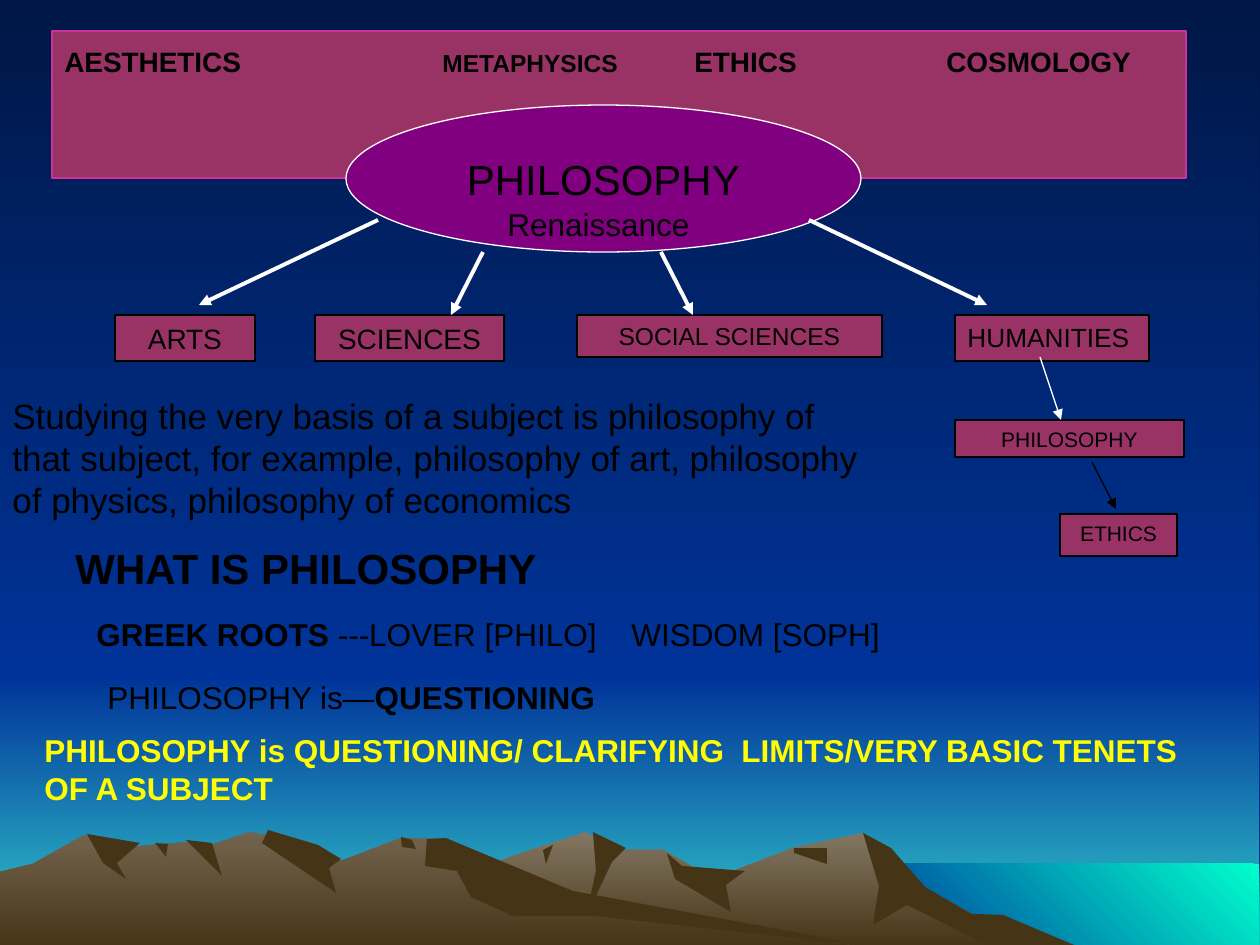
from dataclasses import dataclass

from lxml.etree import SubElement
from pptx import Presentation
from pptx.dml.color import RGBColor as Rgb
from pptx.dml.fill import FillFormat as Fill
from pptx.enum.shapes import MSO_CONNECTOR as Link, MSO_SHAPE as Kind
from pptx.enum.text import MSO_ANCHOR as Anchor, PP_ALIGN as Align
from pptx.oxml.ns import qn
from pptx.util import Pt

INCH = 126
SCALE = 914400 / INCH
WIDE, HIGH = 10 * INCH, 945
BASE, SHORE = 948, 675
THIN, THICK = 0.75, 2.25
COLORS = {
    "black": "000000", "white": "FFFFFF", "yellow": "FFFF00",
    "plum": "993366", "pink": "CC3399", "purple": "800080",
    "night": "001746", "blue": "003399", "teal": "33CCCC", "mint": "00FFCC",
    "stone": "837763", "rock": "72644E", "earth": "463416",
}


@dataclass
class Run:
    """A piece of text with its look."""
    text: str
    size: int
    bold: bool = False


@dataclass
class Box:
    """A place for text, with an optional fill and line."""
    at: tuple[int, int, int, int]
    runs: list[Run]
    fill: str = ""
    line: str = "black"
    kind: Kind = Kind.RECTANGLE
    align: Align = Align.CENTER
    anchor: Anchor = Anchor.TOP
    color: str = "black"
    tabs: tuple[int, ...] = ()


@dataclass
class Arrow:
    """A line with a head at its end."""
    start: tuple[int, int]
    end: tuple[int, int]
    color: str = "white"
    width: float = THICK


@dataclass
class Ridge:
    """An outline of the landscape; two colours make a gradient."""
    points: list[tuple[int, int]]
    colors: tuple[str, ...] = ("earth",)
    angle: int = 270


def emu(px: float) -> int:
    """Turn pixels into EMU."""
    return round(px * SCALE)


def rgb(name: str) -> Rgb:
    """Look up a colour."""
    return Rgb.from_string(COLORS[name])


def paint(fill: Fill, colors: tuple[str, ...], angle: int = 270) -> None:
    """Fill with one colour or a two-colour gradient."""
    if len(colors) == 1:
        fill.solid()
        fill.fore_color.rgb = rgb(colors[0])
        return
    fill.gradient()
    fill.gradient_angle = angle
    for pos, (stop, name) in enumerate(zip(fill.gradient_stops, colors)):
        stop.color.rgb = rgb(name)
        stop.position = pos


def draw_ridge(ridge: Ridge) -> None:
    """Draw a landscape outline."""
    form = slide.shapes.build_freeform(*ridge.points[0], scale=SCALE)
    form.add_line_segments(ridge.points[1:], close=True)
    shape = form.convert_to_shape()
    shape.shadow.inherit = False
    shape.line.fill.background()
    paint(shape.fill, ridge.colors, ridge.angle)


def draw_box(box: Box) -> None:
    """Draw a filled shape or a plain text box."""
    place = [emu(v) for v in box.at]
    if box.fill:
        shape = slide.shapes.add_shape(box.kind, *place)
        shape.shadow.inherit = False
        paint(shape.fill, (box.fill,))
        shape.line.color.rgb = rgb(box.line)
        shape.line.width = Pt(THIN)
    else:
        shape = slide.shapes.add_textbox(*place)
    frame = shape.text_frame
    frame.word_wrap = True
    frame.vertical_anchor = box.anchor
    para = frame.paragraphs[0]
    para.alignment = box.align
    for item in box.runs:
        run = para.add_run()
        run.text = item.text
        font = run.font
        font.name, font.size, font.bold = "Arial", Pt(item.size), item.bold
        font.color.rgb = rgb(box.color)
    if box.tabs:
        stops = SubElement(para._p.get_or_add_pPr(), qn("a:tabLst"))
        for tab in box.tabs:
            SubElement(stops, qn("a:tab"), pos=str(emu(tab)), algn="l")


def draw_arrow(arrow: Arrow) -> None:
    """Draw a straight arrow."""
    ends = [emu(v) for v in arrow.start + arrow.end]
    link = slide.shapes.add_connector(Link.STRAIGHT, *ends)
    link.line.color.rgb = rgb(arrow.color)
    link.line.width = Pt(arrow.width)
    SubElement(link.line._get_or_add_ln(), qn("a:tailEnd"), type="triangle")
    SubElement(link._element.spPr, qn("a:effectLst"))


def block(left: int, top: int, base: int) -> list[tuple[int, int]]:
    """Give the corners of a band that ends at the right edge."""
    right = WIDE - 1
    return [(left, top), (right, top), (right, base), (left, base)]


RIDGES = [
    Ridge(block(-1, SHORE, BASE), ("blue", "teal")),
    Ridge(block(-1, 3, SHORE), ("night", "blue")),
    Ridge(block(861, 864, BASE), ("mint", "blue"), 225),
    Ridge([(325, BASE), (447, 881), (519, 854), (586, 832), (611, 850), (663, 850), (713, 879),
           (793, 848), (863, 833), (911, 881), (1034, BASE)], ("stone", "earth")),
    Ridge([(863, 833), (891, 848), (925, 887), (971, 914), (1003, 915), (1081, BASE),
           (993, BASE), (907, 905), (873, 925), (879, 886)]),
    Ridge([(593, 832), (626, 848), (612, 862), (586, 917), (596, 871)]),
    Ridge([(667, 853), (682, 866), (745, 871), (726, 885), (731, 912), (675, 879)]),
    Ridge([(794, 848), (827, 848), (827, 864), (794, 853)]),
    Ridge([(543, 850), (553, 845), (546, 864)]),
    Ridge([(0, BASE), (0, 872), (33, 864), (84, 835), (118, 848), (186, 842), (202, 848),
           (249, 832), (281, 837), (341, 861), (401, 838), (446, 839), (544, 900),
           (869, BASE)], ("rock", "earth")),
    Ridge([(268, 830), (318, 845), (341, 859), (329, 868), (336, 893), (262, 843)]),
    Ridge([(427, 839), (446, 838), (573, 891), (869, 946), (595, 916), (513, 916), (471, 897),
           (457, 871), (425, 866)]),
    Ridge([(401, 837), (412, 840), (416, 849), (402, 847)]),
    Ridge([(186, 840), (212, 843), (222, 876)]),
    Ridge([(155, 843), (168, 844), (166, 857)]),
    Ridge([(87, 834), (140, 843), (117, 863), (126, 879), (103, 863)]),
]
TOPICS = [
    Box((115, 315, 140, 46), [Run("ARTS", 16)]),
    Box((315, 315, 189, 46), [Run("SCIENCES", 16)]),
    Box((577, 315, 305, 42), [Run("SOCIAL SCIENCES", 14)]),
    Box((955, 315, 194, 46), [Run("HUMANITIES", 15)], align=Align.LEFT),
    Box((955, 420, 229, 37), [Run("PHILOSOPHY", 12)]),
    Box((1060, 514, 117, 42), [Run("ETHICS", 12)]),
]
for topic in TOPICS:
    topic.fill = "plum"
HEADER = [Run("AESTHETICS\t", 16, True), Run("METAPHYSICS", 14, True), Run("\t", 20),
          Run("ETHICS\tCOSMOLOGY", 16, True)]
NOTES = [
    Box((0, 388, 892, 139),
        [Run("Studying the very basis of a subject is philosophy of that subject, for example, "
             "philosophy of art, philosophy of physics, philosophy of economics", 20)]),
    Box((63, 536, 496, 63), [Run("WHAT IS PHILOSOPHY", 24, True)]),
    Box((84, 609, 816, 50),
        [Run("GREEK ROOTS", 18, True), Run(" ---LOVER [PHILO]\tWISDOM [SOPH]", 18)],
        tabs=(535,)),
    Box((95, 672, 520, 50), [Run("PHILOSOPHY is—", 18), Run("QUESTIONING", 18, True)]),
    Box((32, 725, 1176, 88),
        [Run("PHILOSOPHY is QUESTIONING/ CLARIFYING  LIMITS/VERY BASIC TENETS OF A SUBJECT",
             18, True)], color="yellow"),
]
for note in NOTES:
    note.align, note.anchor = Align.LEFT, Anchor.MIDDLE
BOXES = [
    Box((52, 31, 1134, 147), HEADER, "plum", "pink", align=Align.LEFT,
        tabs=tuple(n * INCH for n in (3, 5, 7))),
    Box((346, 105, 515, 147), [Run("PHILOSOPHY", 24)], "purple", "white", Kind.OVAL,
        anchor=Anchor.MIDDLE),
    *TOPICS,
    Box((420, 199, 357, 50), [Run("Renaissance", 18)]),
    *NOTES,
]
ARROWS = [
    Arrow((378, 220), (199, 305)),
    Arrow((483, 252), (451, 315)),
    Arrow((661, 252), (693, 315)),
    Arrow((809, 220), (987, 305)),
    Arrow((1040, 357), (1061, 420), width=THIN),
    Arrow((1092, 462), (1116, 509), "black", THIN),
]

deck = Presentation()
deck.slide_width, deck.slide_height = emu(WIDE), emu(HIGH)
slide = deck.slides.add_slide(deck.slide_layouts[6])
paint(slide.background.fill, ("night", "blue"))
for draw, items in ((draw_ridge, RIDGES), (draw_box, BOXES), (draw_arrow, ARROWS)):
    for item in items:
        draw(item)
deck.save("out.pptx")
